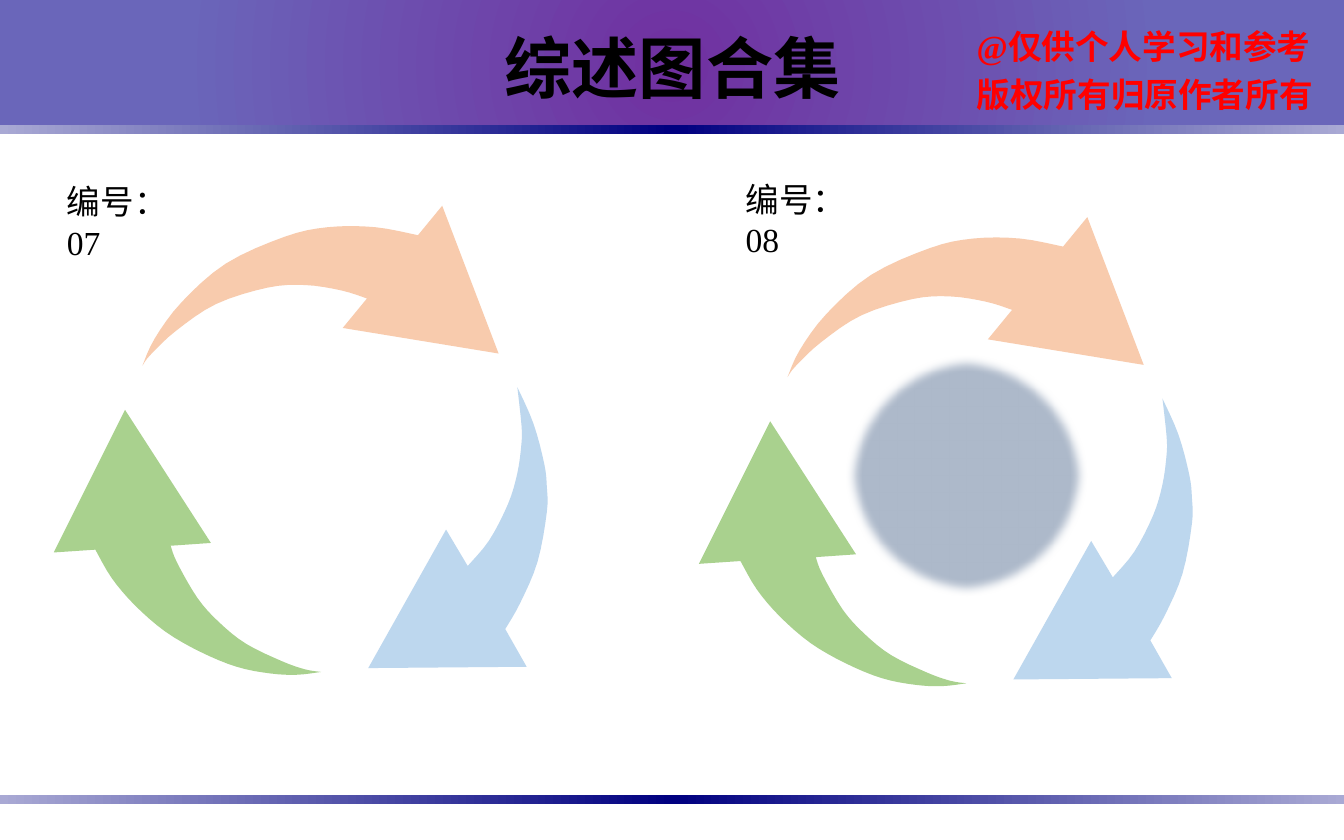
from pptx import Presentation
from pptx.dml.color import RGBColor
from pptx.enum.shapes import MSO_SHAPE
from pptx.enum.text import MSO_ANCHOR, PP_ALIGN
from pptx.oxml import parse_xml
from pptx.oxml.ns import nsdecls, qn
from pptx.util import Pt

RECTANGLE, OVAL = MSO_SHAPE.RECTANGLE, MSO_SHAPE.OVAL
LEFT, CENTER = PP_ALIGN.LEFT, PP_ALIGN.CENTER
TOP, MIDDLE = MSO_ANCHOR.TOP, MSO_ANCHOR.MIDDLE

BLACK = RGBColor(0x00, 0x00, 0x00)
RED = RGBColor(0xFF, 0x00, 0x00)
PURPLE = RGBColor(0x70, 0x30, 0xA0)
VIOLET = RGBColor(0x6A, 0x66, 0xBA)
NAVY = RGBColor(0x00, 0x00, 0x80)
LAVENDER = RGBColor(0xA9, 0xA9, 0xD4)
ORANGE = RGBColor(0xF8, 0xCB, 0xAD)
BLUE = RGBColor(0xBD, 0xD7, 0xEE)
GREEN = RGBColor(0xA9, 0xD1, 0x8E)
SLATE = RGBColor(0xAD, 0xB9, 0xCA)

WIDTH, HEIGHT = 720, 450
CURVE_STEPS = 4
RADIAL = ('<a:path path="circle"><a:fillToRect l="50000" t="50000" '
          'r="50000" b="50000"/></a:path>')
LINEAR = '<a:lin ang="0" scaled="0"/>'

TITLE_FORMAT = {"name": "Arial", "size": Pt(36), "bold": True}
NOTICE_FORMAT = {"name": "Times New Roman", "size": Pt(18), "bold": True}
LABEL_FORMAT = {"name": "Times New Roman", "size": Pt(18)}

# Each arrow: colour, outer curve from tail to neck, head corners,
# inner curve from neck back to tail; points from the ring's top left.
ARROWS = [
    (BLUE,
     [(248.4, 97.2), (257, 116.6), (262.8, 138.2), (264.2, 150.5),
      (264.2, 164.2), (259.2, 190.8), (249.8, 213.1), (241.9, 226.8)],
     [(253.4, 247), (168.5, 247.7), (210.2, 173.5)],
     [(221.8, 193), (233.3, 179.3), (243.4, 159.8), (248.4, 143.3),
      (250.6, 127.4), (250.6, 117.4), (248.4, 97.2)]),
    (GREEN,
     [(143.3, 249.8), (130.3, 251.3), (115.9, 250.6), (97.9, 247),
      (78.5, 239), (59.8, 228.2), (43.2, 213.8), (31, 199.4), (22.3, 184.3)],
     [(0, 185.8), (38.2, 109.4), (84.2, 180.7)],
     [(62.6, 182.2), (66.2, 191.5), (77, 210.2), (88.6, 223.2),
      (103, 234.7), (122.4, 244.1), (134.6, 248.4), (143.3, 249.8)]),
    (ORANGE,
     [(47.5, 85.7), (54, 71.3), (68.4, 51.8), (92.2, 31), (123.8, 16.6),
      (146.9, 11.5), (172.1, 11.5), (195.1, 15.8)],
     [(208.1, 0), (238.3, 79.2), (154.8, 65.5)],
     [(167.8, 49.7), (154.1, 45.4), (134.6, 42.5), (114.5, 43.9),
      (87.1, 52.6), (65.5, 67), (51.8, 79.9), (47.5, 85.7)]),
]


def smooth(points):
    """Return a Catmull-Rom curve through the points as a dense polyline."""
    padded = [points[0], *points, points[-1]]
    curve = []
    for a, b, c, d in zip(padded, padded[1:], padded[2:], padded[3:]):
        for step in range(CURVE_STEPS):
            t = step / CURVE_STEPS
            curve.append(tuple(
                (2 * q + (r - p) * t + (2 * p - 5 * q + 4 * r - s) * t ** 2
                 + (3 * q - p - 3 * r + s) * t ** 3) / 2
                for p, q, r, s in zip(a, b, c, d)))
    return curve + [points[-1]]


def fill_plain(shape, color):
    shape.shadow.inherit = False
    shape.line.fill.background()
    shape.fill.solid()
    shape.fill.fore_color.rgb = color


def add_gradient_band(slide, left, top, width, height, stops, direction):
    band = slide.shapes.add_shape(
        RECTANGLE, Pt(left), Pt(top), Pt(width), Pt(height))
    fill_plain(band, stops[0][1])
    stop_xml = "".join(
        f'<a:gs pos="{percent * 1000}"><a:srgbClr val="{color}"/></a:gs>'
        for percent, color in stops)
    properties = band.element.spPr
    properties.replace(properties.find(qn("a:solidFill")), parse_xml(
        f'<a:gradFill {nsdecls("a")} rotWithShape="1">'
        f'<a:gsLst>{stop_xml}</a:gsLst>{direction}</a:gradFill>'))


def write_lines(frame, lines, font_format, color, anchor, wrap, spacing=1.0):
    """Write (text, alignment) pairs, one paragraph each."""
    frame.word_wrap = wrap
    frame.vertical_anchor = anchor
    for index, (text, alignment) in enumerate(lines):
        paragraph = frame.add_paragraph() if index else frame.paragraphs[0]
        paragraph.text = text
        paragraph.alignment = alignment
        paragraph.line_spacing = spacing
        for name, value in font_format.items():
            setattr(paragraph.font, name, value)
        paragraph.font.color.rgb = color


def add_header(slide, left, top, width, height):
    add_gradient_band(slide, left, top, width, height,
                      [(0, PURPLE), (73, VIOLET), (100, VIOLET)], RADIAL)
    notice = slide.shapes.add_textbox(
        Pt(left + 516.2), Pt(top + 6.5), Pt(198.7), Pt(57))
    write_lines(notice.text_frame,
                [("@仅供个人学习和参考", LEFT), ("版权所有归原作者所有", CENTER)],
                NOTICE_FORMAT, RED, TOP, False, 1.2)
    title = slide.shapes.title
    title.left, title.top = Pt(left + 262), Pt(top + 10.8)
    title.width, title.height = Pt(196.6), Pt(51)
    write_lines(title.text_frame, [("综述图合集", CENTER)],
                TITLE_FORMAT, BLACK, MIDDLE, False)
    title.element.getparent().append(title.element)


def add_rule(slide, top):
    add_gradient_band(slide, 0, top, WIDTH, 5,
                      [(0, LAVENDER), (50, NAVY), (100, LAVENDER)], LINEAR)


def add_arrow_ring(slide, left, top, has_core):
    group = slide.shapes.add_group_shape()
    for color, outer, head, inner in ARROWS:
        outline = [(Pt(x), Pt(y)) for x, y in
                   smooth(outer) + head + smooth(inner)]
        builder = group.shapes.build_freeform(*outline[0])
        builder.add_line_segments(outline[1:], close=True)
        fill_plain(builder.convert_to_shape(Pt(left), Pt(top)), color)
    if has_core:
        core = group.shapes.add_shape(
            OVAL, Pt(left + 78.5), Pt(top + 73.8), Pt(129.6), Pt(129.6))
        fill_plain(core, SLATE)
        core.element.spPr.find(qn("a:effectLst")).append(
            parse_xml(f'<a:softEdge {nsdecls("a")} rad="{Pt(5)}"/>'))


def add_label(slide, left, top, text):
    label = slide.shapes.add_textbox(Pt(left), Pt(top), Pt(83), Pt(29))
    write_lines(label.text_frame, [(text, LEFT)],
                LABEL_FORMAT, BLACK, TOP, True)


def main():
    presentation = Presentation()
    presentation.slide_width, presentation.slide_height = Pt(WIDTH), Pt(HEIGHT)
    slide = presentation.slides.add_slide(presentation.slide_layouts[5])
    add_header(slide, 0, -0.7, WIDTH, 71.3)
    for top in (67, 426):
        add_rule(slide, top)
    add_arrow_ring(slide, 28.8, 110.2, False)
    add_arrow_ring(slide, 374.4, 116.3, True)
    add_label(slide, 28.8, 93.6, "编号：07")
    add_label(slide, 392.4, 92.2, "编号：08")
    presentation.save("out.pptx")


if __name__ == "__main__":
    main()
